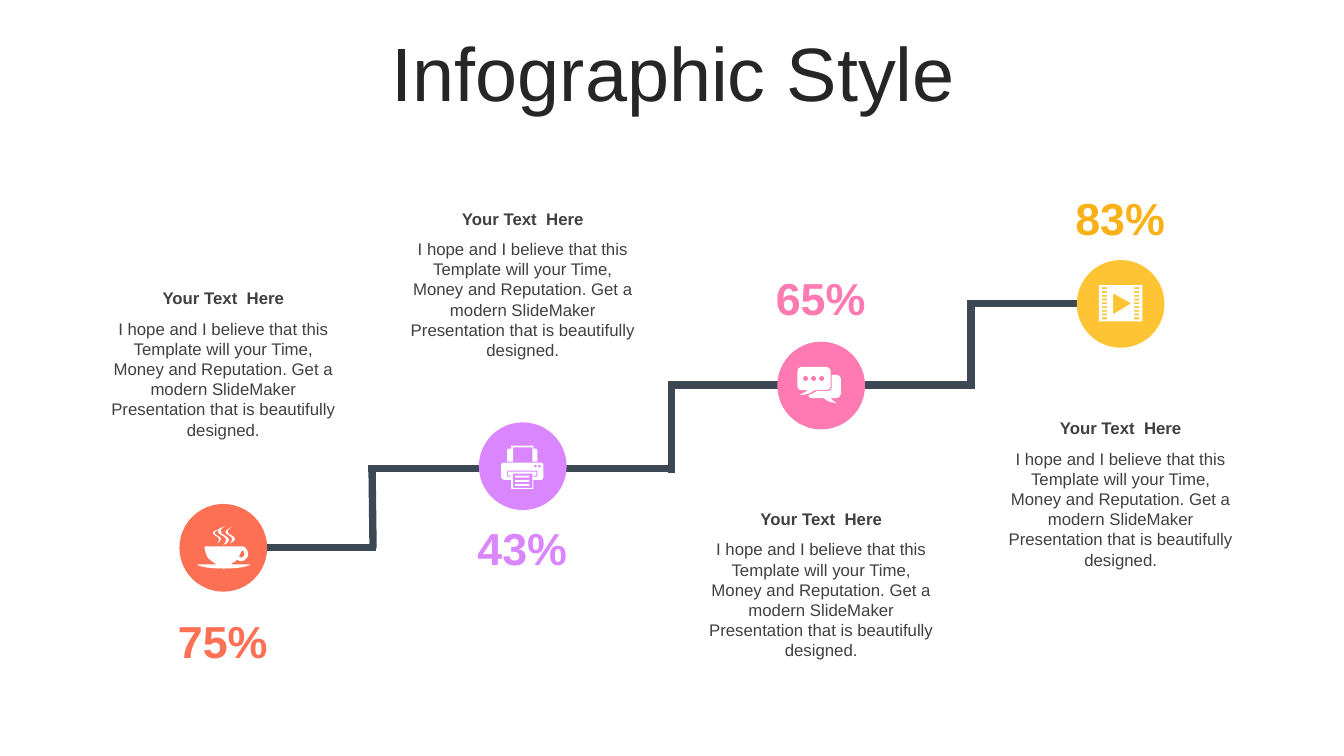
import lxml.etree
import pptx
import pptx.dml.color
import pptx.enum.shapes
import pptx.enum.text
import pptx.oxml.ns
import pptx.util

PX = 9144  # EMU in one px, 100 px to the inch
SLIDE_SIZE = (1333, 750)
COLORS = {
    "title": "262626", "text": "404040", "stairs": "3C4955", "icon": "FFFFFF",
    "coral": "FE7054", "violet": "DA87FF", "pink": "FF79B2",
    "yellow": "FEC434", "amber": "FAB117",
}
HEADING = "Your Text  Here"
BODY = ("I hope and I believe that this Template will your Time, Money and Reputation. "
        "Get a modern SlideMaker Presentation that is beautifully designed.")
CIRCLE = 87


def rgb(name):
    return pptx.dml.color.RGBColor.from_string(COLORS[name])


def box_emu(*lengths):
    return [length * PX for length in lengths]


# Icon outlines: each word is a corner "x,y" or a curve "x1,y1,x2,y2,x,y"
def rect(x, y, w, h):
    return f"{x},{y} {x + w},{y} {x + w},{y + h} {x},{y + h}"


def dot(x, y, r):
    k = 0.55 * r
    return (f"{x},{y - r} {x + k},{y - r},{x + r},{y - k},{x + r},{y} "
            f"{x + r},{y + k},{x + k},{y + r},{x},{y + r} "
            f"{x - k},{y + r},{x - r},{y + k},{x - r},{y} "
            f"{x - r},{y - k},{x - k},{y - r},{x},{y - r}")


CUP = [
    "44,24 43,26,42,28,41,30 42,31,43,31,44,31 46,30,47,28,46,26 46,25,45,24,44,24",
    "7,20 44,20 47,20,49,23,50,26 51,29,49,32,46,34 44,35,41,35,39,33 38,35,36,36,35,36 "
    "34,37,33,38,32,38 52,38 51,40,40,42,26,42 12,42,0,40,0,38 20,38 "
    "19,38,17,37,16,36 10,33,7,27,7,20",
    "21,3 19,5,17,5,17,7 18,10,24,10,23,13 22,15,22,16,19,17 "
    "21,16,21,15,21,13 21,10,17,10,16,8 14,6,16,5,21,3",
    "34,1 31,3,30,3,30,6 31,9,37,9,37,13 36,15,35,16,32,17 "
    "34,15,34,14,34,12 34,10,30,9,28,7 27,5,29,3,34,1",
    "27,0 24,2,23,3,23,5 24,10,31,9,31,14 30,17,29,17,25,19 "
    "27,17,28,16,28,13 28,10,22,9,21,7 19,4,21,2,27,0",
]
PRINTER = [
    *(rect(14, y, 14, 2) for y in (30, 34, 38)),
    rect(12, 28, 19, 14),
    "6,25 6,31 10,31 10,30 7,30 7,26 35,26 35,30 32,30 32,31 36,31 36,25",
    dot(34, 20.5, 1.3), dot(38, 20.5, 1.3),
    "3,17 40,17 41,17,42,18,42,20 42,31 42,32,41,34,40,34 32,34 32,43 10,43 10,34 "
    "3,34 1,34,0,32,0,31 0,20 0,18,1,17,3,17",
    "10,0 32,0 32,3 34,3 35,3,36,4,36,5 36,16 31,16 31,2 12,2 12,16 6,16 6,5 "
    "6,4,7,3,8,3 10,3",
]
CHAT = [
    *(dot(x, 11.5, 2.5) for x in (8, 16, 24)),
    "34,8 38,8 41,8,43,10,43,12 43,26 43,29,41,31,38,31 33,31 34,32,34,33,39,36 "
    "31,35,30,34,26,31 15,31 13,31,11,30,11,28 14,27,16,26,19,24 29,24 32,24,34,22,34,20",
    "4,0 28,0 31,0,33,2,33,5 33,19 33,21,31,23,28,23 17,23 12,27,10,27,2,28 "
    "7,25,7,26,10,23 4,23 2,23,0,21,0,19 0,5 0,2,2,0,4,0",
]
FILM = [
    *(rect(x, 2 + 3.75 * row, 5, 1.8) for row in range(9) for x in (3, 35)),
    "14,8 14,29 32,18",
    rect(0, 0, 43, 36),
]

# Per step: colours, share, icon, icon offset in the circle,
# and tops of share and caption measured from the circle's top
STEPS = [
    ("coral", "coral", "75%", CUP, (18, 22), 104, -219),
    ("violet", "violet", "43%", PRINTER, (22, 23), 93, -217),
    ("pink", "pink", "65%", CHAT, (20, 25), -75, 161),
    ("yellow", "amber", "83%", FILM, (22, 25), -74, 152),
]
STAIRS = [
    (663, 382, 963, 382), (667, 465, 365, 465), (373, 543, 265, 543), (1068, 301, 959, 301),
    (369, 462, 370, 544), (666, 379, 666, 469), (963, 301, 963, 386),
]


def flatten(outline):
    """Turn an outline into points, in tenths of a px."""
    points = []
    for word in outline.split():
        *controls, x, y = [10 * float(number) for number in word.split(",")]
        if controls:
            x0, y0 = points[-1]
            x1, y1, x2, y2 = controls
            for t in (i / 8 for i in range(1, 9)):
                s = 1 - t
                weights = (s ** 3, 3 * s * s * t, 3 * s * t * t, t ** 3)
                points.append(tuple(sum(w * v for w, v in zip(weights, values))
                                    for values in ((x0, x1, x2, x), (y0, y1, y2, y))))
        else:
            points.append((x, y))
    return points


def paint(shape, color):
    shape.shadow.inherit = False
    shape.fill.solid()
    shape.fill.fore_color.rgb = rgb(color)
    shape.line.fill.background()


def write(frame, text, color, **font_format):
    frame.word_wrap = True
    paragraph = frame.paragraphs[0]
    paragraph.text = text
    paragraph.alignment = pptx.enum.text.PP_ALIGN.CENTER
    for name, value in {"name": "Arial", "bold": False, **font_format}.items():
        setattr(paragraph.font, name, value)
    paragraph.font.color.rgb = rgb(color)
    return paragraph


def add_label(slide, box, text, color, size, bold=False):
    label = slide.shapes.add_textbox(*box_emu(*box))
    write(label.text_frame, text, color, size=pptx.util.Pt(size), bold=bold)


def add_title(slide, box):
    title = slide.shapes.title
    title.left, title.top, title.width, title.height = box_emu(*box)
    title.text_frame.auto_size = pptx.enum.text.MSO_AUTO_SIZE.NONE
    title.text_frame.vertical_anchor = pptx.enum.text.MSO_ANCHOR.MIDDLE
    heading = write(title.text_frame, "Infographic Style", "title", size=pptx.util.Pt(54))
    heading.line_spacing = 0.9


def add_stairs(slide):
    for ends in STAIRS:
        stair = slide.shapes.add_connector(
            pptx.enum.shapes.MSO_CONNECTOR.STRAIGHT, *box_emu(*ends))
        stair.line.color.rgb = rgb("stairs")
        stair.line.width = pptx.util.Pt(5.25)
        lxml.etree.SubElement(stair._element.spPr, pptx.oxml.ns.qn("a:effectLst"))


def add_icon(slide, left, top, outlines):
    first, *others = [flatten(outline) for outline in outlines]
    builder = slide.shapes.build_freeform(*first[0], scale=PX / 10)
    builder.add_line_segments(first[1:], close=True)
    for contour in others:
        builder.move_to(*contour[0])
        builder.add_line_segments(contour[1:], close=True)
    paint(builder.convert_to_shape(*box_emu(left, top)), "icon")


def add_step(slide, left, top, step):
    color, share_color, share, icon, (icon_x, icon_y), share_y, caption_y = step
    # Circle and icon
    circle = slide.shapes.add_shape(
        pptx.enum.shapes.MSO_SHAPE.OVAL, *box_emu(left, top, CIRCLE, CIRCLE))
    paint(circle, color)
    add_icon(slide, left + icon_x, top + icon_y, icon)
    # Share
    add_label(slide, (left - 19, top + share_y, 124, 64), share, share_color, 32, True)
    # Caption
    caption_left, caption_top = left - 81, top + caption_y
    add_label(slide, (caption_left, caption_top, 249, 30), HEADING, "text", 12, True)
    add_label(slide, (caption_left, caption_top + 30, 249, 131), BODY, "text", 12)


def main():
    deck = pptx.Presentation()
    deck.slide_width, deck.slide_height = box_emu(*SLIDE_SIZE)
    slide = deck.slides.add_slide(deck.slide_layouts[5])
    add_title(slide, (35, 37, 1266, 79))
    add_stairs(slide)
    for i, step in enumerate(STEPS):
        add_step(slide, 178 + round(890 * i / 3), 500 - round(242 * i / 3), step)
    deck.save("out.pptx")


if __name__ == "__main__":
    main()
